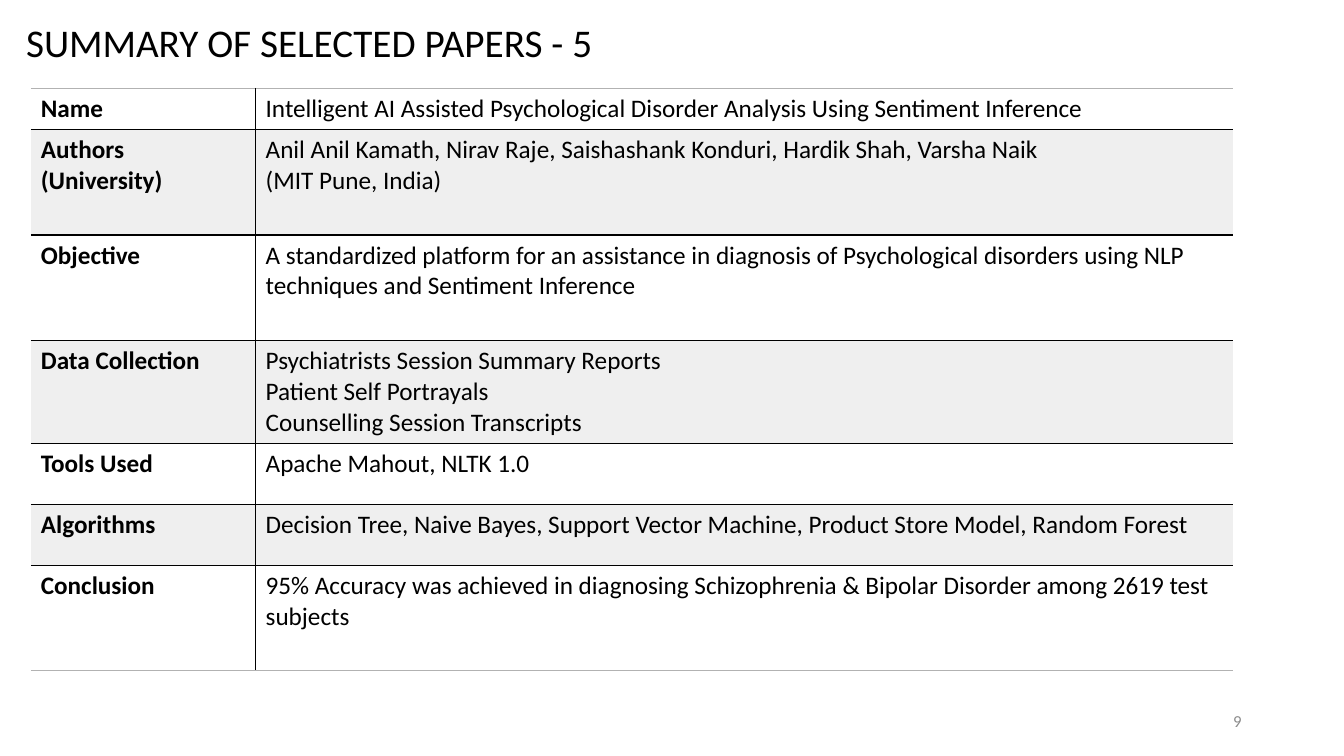
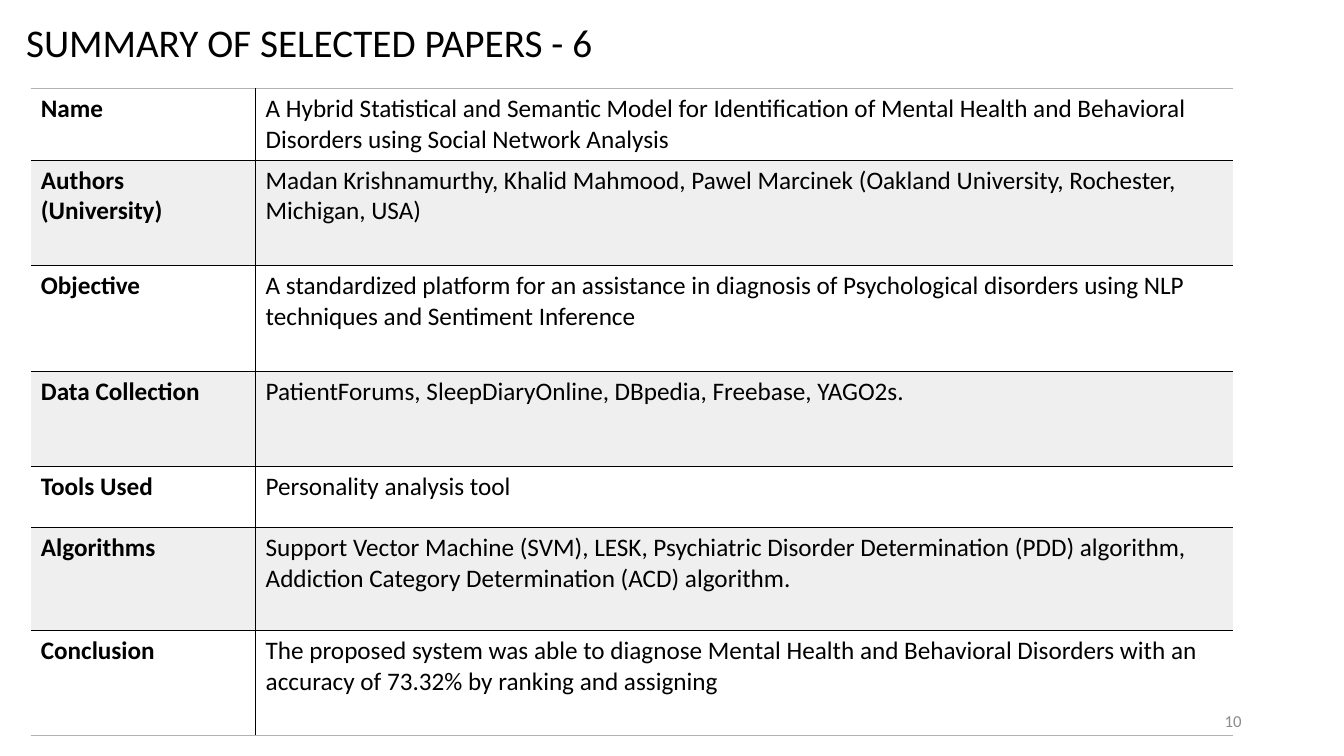
"""Build two slides that each summarise one selected paper in a ruled table."""
import pptx
import pptx.dml.color
import pptx.enum.text
import pptx.oxml
import pptx.oxml.ns
import pptx.util

Pt = pptx.util.Pt
ALIGN = pptx.enum.text.PP_ALIGN
FONT = "Calibri"
BLACK, BAND, EDGE, MUTED = "000000", "EFEFEF", "B2B2B2", "8C8C8C"
NO_GRID_STYLE = "{2D5ABB26-0587-4C30-8999-92F81FD0307C}"
TABLE_LEFT, TABLE_TOP = 22, 63.2
COLUMN_WIDTHS = [160.6, 698.4]
TOPICS = ["Name", "Authors (University)", "Objective", "Data Collection",
          "Tools Used", "Algorithms", "Conclusion"]
OBJECTIVE = ("A standardized platform for an assistance in diagnosis of Psychological "
             "disorders using NLP techniques and Sentiment Inference")

PAPERS = [
    {
        "number": 5,
        "page": 9,
        "heights": [29.2, 75.5, 75.5, 73.2, 43.6, 43.6, 75.2],
        "findings": [
            "Intelligent AI Assisted Psychological Disorder Analysis Using Sentiment Inference",
            "Anil Anil Kamath, Nirav Raje, Saishashank Konduri, Hardik Shah, Varsha Naik\n"
            "(MIT Pune, India)",
            OBJECTIVE,
            "Psychiatrists Session Summary Reports\nPatient Self Portrayals\n"
            "Counselling Session Transcripts",
            "Apache Mahout, NLTK 1.0",
            "Decision Tree, Naive Bayes, Support Vector Machine, Product Store Model, Random Forest",
            "95% Accuracy was achieved in diagnosing Schizophrenia & Bipolar Disorder "
            "among 2619 test subjects",
        ],
    },
    {
        "number": 6,
        "page": 10,
        "heights": [51.2, 75.5, 75.5, 68, 43.6, 73.2, 75.2],
        "findings": [
            "A Hybrid Statistical and Semantic Model for Identification of Mental Health "
            "and Behavioral Disorders using Social Network Analysis",
            "Madan Krishnamurthy, Khalid Mahmood, Pawel Marcinek (Oakland University, "
            "Rochester, Michigan, USA)",
            OBJECTIVE,
            "PatientForums, SleepDiaryOnline, DBpedia, Freebase, YAGO2s.",
            "Personality analysis tool",
            "Support Vector Machine (SVM), LESK, Psychiatric Disorder Determination (PDD) "
            "algorithm, Addiction Category Determination (ACD) algorithm.",
            "The proposed system was able to diagnose Mental Health and Behavioral Disorders "
            "with an accuracy of 73.32% by ranking and assigning",
        ],
    },
]


def rgb(value):
    return pptx.dml.color.RGBColor.from_string(value)


def write(frame, text, size, color=BLACK, bold=False, align=ALIGN.LEFT, spacing=1.0):
    frame.word_wrap = True
    frame.text = text
    for paragraph in frame.paragraphs:
        paragraph.alignment = align
        paragraph.line_spacing = spacing
        for run in paragraph.runs:
            run.font.name = FONT
            run.font.size = Pt(size)
            run.font.bold = bold
            run.font.color.rgb = rgb(color)


deck = pptx.Presentation()
deck.slide_width, deck.slide_height = Pt(960), Pt(540)

for paper in PAPERS:
    slide = deck.slides.add_slide(deck.slide_layouts[6])

    summary = slide.shapes.add_table(
        len(TOPICS), 2, Pt(TABLE_LEFT), Pt(TABLE_TOP),
        Pt(sum(COLUMN_WIDTHS)), Pt(sum(paper["heights"]))).table
    summary.first_row = summary.horz_banding = False
    summary._tbl.tblPr.find(pptx.oxml.ns.qn("a:tableStyleId")).text = NO_GRID_STYLE
    for column, width in zip(summary.columns, COLUMN_WIDTHS):
        column.width = Pt(width)

    last = len(TOPICS) - 1
    for index, pair in enumerate(zip(TOPICS, paper["findings"])):
        summary.rows[index].height = Pt(paper["heights"][index])
        for side, text in enumerate(pair):
            cell = summary.cell(index, side)
            write(cell.text_frame, text, 18, bold=side == 0)
            borders = {
                "lnR" if side == 0 else "lnL": BLACK,
                "lnT": EDGE if index == 0 else BLACK,
                "lnB": EDGE if index == last else BLACK,
            }
            properties = cell._tc.get_or_add_tcPr()
            for edge, color in borders.items():
                properties.append(pptx.oxml.parse_xml(
                    f'<a:{edge} {pptx.oxml.ns.nsdecls("a")} w="12700"><a:solidFill>'
                    f'<a:srgbClr val="{color}"/></a:solidFill></a:{edge}>'))
            if index % 2:
                cell.fill.solid()
                cell.fill.fore_color.rgb = rgb(BAND)
            else:
                cell.fill.background()

    title = slide.shapes.add_textbox(Pt(11.5), Pt(15), Pt(688), Pt(34)).text_frame
    write(title, f"SUMMARY OF SELECTED PAPERS - {paper['number']}", 28, spacing=0.9)
    page = slide.shapes.add_textbox(Pt(678), Pt(500.5), Pt(216), Pt(28.8)).text_frame
    write(page, str(paper["page"]), 12, MUTED, align=ALIGN.RIGHT)
    for frame in (title, page):
        frame.vertical_anchor = pptx.enum.text.MSO_ANCHOR.MIDDLE

deck.save("out.pptx")
